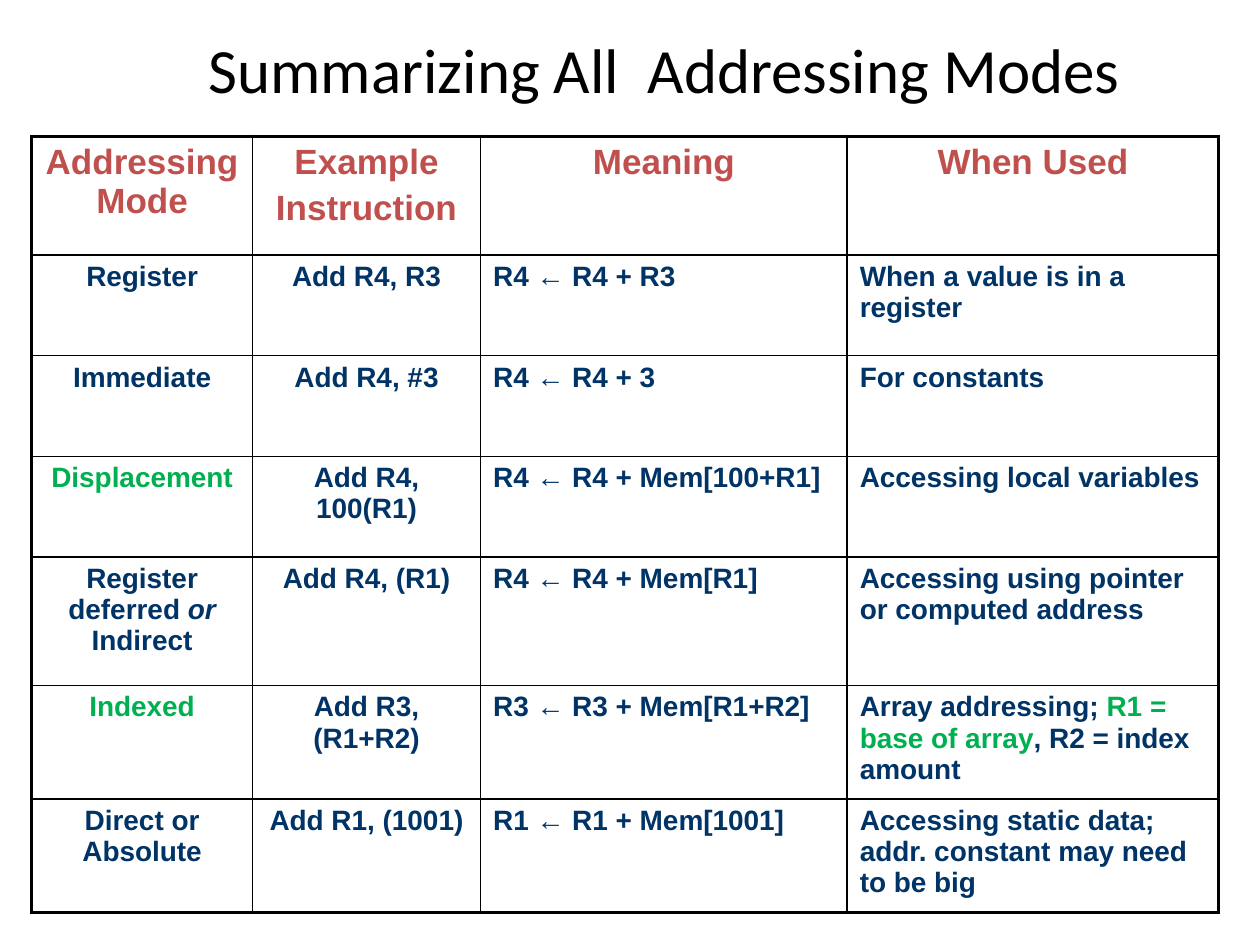
"""Build a slide with a table that sums up the addressing modes."""
from lxml.etree import SubElement as Sub
from pptx import Presentation as Deck
from pptx.dml.color import RGBColor as Rgb
from pptx.enum.text import MSO_ANCHOR as Anchor, PP_ALIGN as Align
from pptx.oxml import parse_xml as read
from pptx.oxml.ns import nsdecls, qn
from pptx.util import Cm, Pt

HUE = {"head": "C0504D", "body": "003366", "mark": "00B050", "ink": "000000"}
TITLE = "Summarizing All  Addressing Modes"
HEAD = ["Addressing Mode", "Example\nInstruction", "Meaning", "When Used"]
ROWS = [
    ["Register", "Add R4, R3", "R4 ← R4 + R3", "When a value is in a register"],
    ["Immediate", "Add R4, #3", "R4 ← R4 + 3", "For constants"],
    [[("Displacement", "mark")], "Add R4, 100(R1)", "R4 ← R4 + Mem[100+R1]",
     "Accessing local variables"],
    [[("Register deferred ", ""), ("or", "slant"), (" Indirect", "")],
     "Add R4, (R1)", "R4 ← R4 + Mem[R1]",
     "Accessing using pointer or computed address"],
    [[("Indexed", "mark")], "Add R3, (R1+R2)", "R3 ← R3 + Mem[R1+R2]",
     [("Array addressing; ", ""), ("R1 = base of array", "mark"),
      (", R2 = index amount", "")]],
    ["Direct or Absolute", "Add R1, (1001)", "R1 ← R1 + Mem[1001]",
     "Accessing static data; addr. constant may need to be big"],
]
WIDE = [4.45, 4.6, 7.39, 7.49]
HIGH = [2.39, 2.03, 2.03, 2.03, 2.59, 2.03, 2.03]
THIN, THICK = Pt(1), Pt(2.25)


def style(font, face, size, hue, bold=False):
    font.name, font.size, font.bold = face, Pt(size), bold
    font.color.rgb = Rgb.from_string(HUE[hue])


def write(cell, text, size, hue, align):
    frame = cell.text_frame
    lines = text.split("\n") if isinstance(text, str) else [text]
    for i, line in enumerate(lines):
        para = frame.add_paragraph() if i else frame.paragraphs[0]
        para.alignment = align
        if i:
            para.space_before = Pt(size * 0.2)
        style(para.font, "Arial", size, hue, True)
        for part, kind in [(line, "")] if isinstance(line, str) else line:
            run = para.add_run()
            run.text = part
            if kind == "mark":
                run.font.color.rgb = Rgb.from_string(HUE["mark"])
            elif kind == "slant":
                run.font.italic = True


def edge(cell, sides):
    cell.fill.background()
    props = cell._tc.get_or_add_tcPr()
    for i, (side, outer) in enumerate(sides):
        line = read(f'<a:ln{side} {nsdecls("a")} w="{THICK if outer else THIN}"/>')
        fill = Sub(line, qn("a:solidFill"))
        Sub(fill, qn("a:srgbClr"), val=HUE["ink"])
        props.insert(i, line)


def main():
    deck = Deck()
    deck.slide_width, deck.slide_height = Cm(25.4), Cm(19.05)
    slide = deck.slides.add_slide(deck.slide_layouts[6])

    box = slide.shapes.add_textbox(Cm(1.75), Cm(0), Cm(23.29), Cm(2.75))
    frame = box.text_frame
    frame.word_wrap, frame.vertical_anchor = True, Anchor.MIDDLE
    para = frame.paragraphs[0]
    para.text, para.alignment = TITLE, Align.CENTER
    style(para.font, "Calibri", 36, "ink")

    grid = [HEAD] + ROWS
    last, end = len(grid) - 1, len(HEAD) - 1
    table = slide.shapes.add_table(len(grid), len(HEAD), Cm(0.64), Cm(2.75),
                                   Cm(sum(WIDE)), Cm(sum(HIGH))).table
    table.first_row = table.horz_banding = False
    for col, wide in zip(table.columns, WIDE):
        col.width = Cm(wide)
    for r, (row, high) in enumerate(zip(grid, HIGH)):
        table.rows[r].height = Cm(high)
        size, hue = (16, "body") if r else (20, "head")
        for c, text in enumerate(row):
            cell = table.cell(r, c)
            align = Align.LEFT if r and c > 1 else Align.CENTER
            write(cell, text, size, hue, align)
            edge(cell, [("L", c == 0), ("R", c == end),
                        ("T", r == 0), ("B", r == last)])
    deck.save("out.pptx")


if __name__ == "__main__":
    main()
